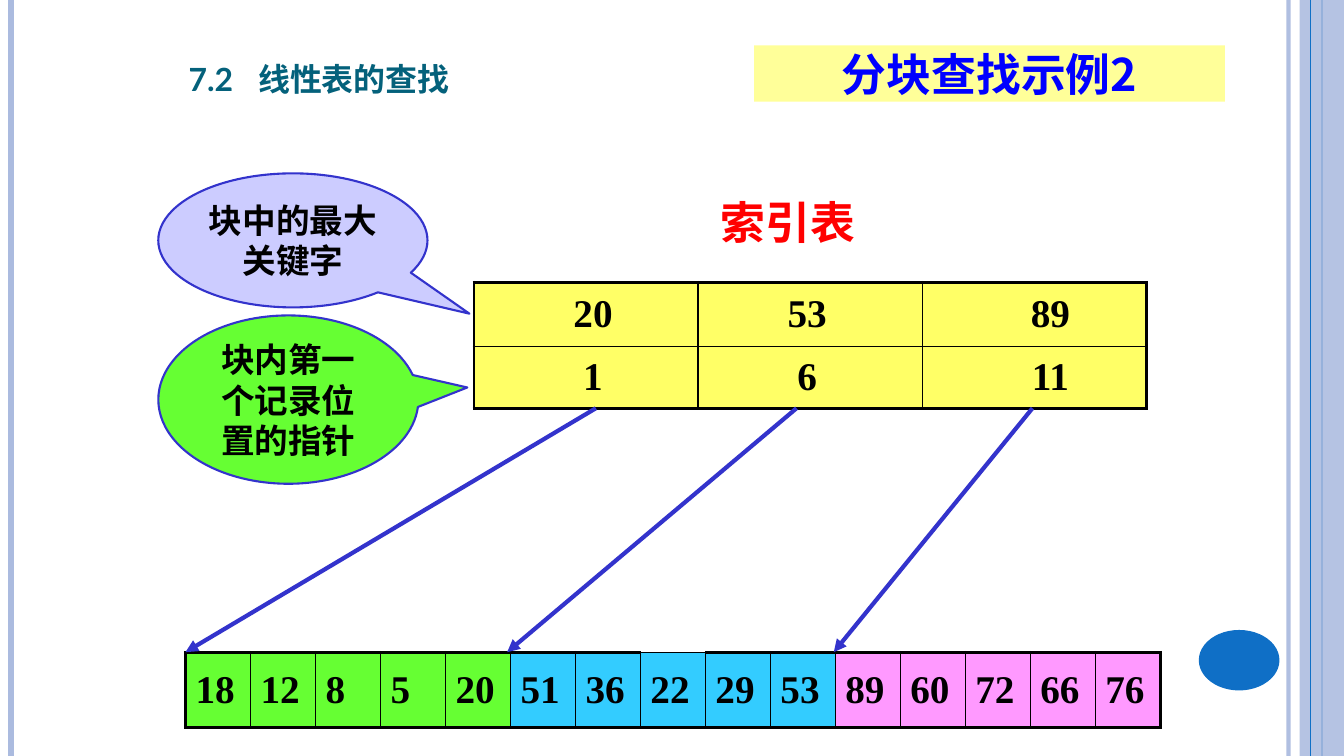
from lxml.etree import SubElement
from pptx import Presentation
from pptx.dml.color import RGBColor
from pptx.enum.shapes import MSO_CONNECTOR, MSO_SHAPE
from pptx.enum.text import MSO_ANCHOR, MSO_AUTO_SIZE, PP_ALIGN
from pptx.oxml import parse_xml
from pptx.oxml.ns import nsdecls, qn
from pptx.util import Inches, Pt

THEME = {
    "rail": "ABBBDF", "accent": "0F6FC6", "teal": "04617B", "black": "000000",
    "blue": "0000FF", "red": "FF0000", "cream": "FFFF99", "yellow": "FFFF66",
    "lilac": "CCCCFF", "green": "66FF33", "cyan": "33CCFF", "pink": "FF99FF",
    "arrow": "3333CC",
    "title": 28.5, "heading": 32, "number": 28, "callout": 24,
    "cjk": "Noto Sans CJK SC", "latin": "Lato", "serif": "Times New Roman",
}


def write(tf, text, size="callout", color="black", font="cjk",
          align=PP_ALIGN.CENTER, anchor=MSO_ANCHOR.MIDDLE):
    tf.word_wrap = True
    tf.vertical_anchor = anchor
    p = tf.paragraphs[0]
    p.alignment = align
    r = p.add_run()
    r.text = text
    r.font.size = Pt(THEME[size])
    r.font.bold = True
    r.font.color.rgb = RGBColor.from_string(THEME[color])
    r.font.name = THEME[font]
    SubElement(r.font._element, qn("a:ea"), typeface=THEME["cjk"])
    return r


def add_line(x1, y1, x2, y2, color, width, alpha=100, arrow=False):
    c = s.shapes.add_connector(MSO_CONNECTOR.STRAIGHT, Inches(x1), Inches(y1),
                               Inches(x2), Inches(y2))
    c.line.color.rgb = RGBColor.from_string(THEME[color])
    c.line.width = Pt(width)
    ln = c.line._get_or_add_ln()
    if alpha < 100:
        SubElement(ln.find(".//" + qn("a:srgbClr")), qn("a:alpha"), val=str(alpha * 1000))
    if arrow:
        SubElement(ln, qn("a:tailEnd"), type="triangle")
    SubElement(c._element.spPr, qn("a:effectLst"))


prs = Presentation()
prs.slide_width = Inches(13.33)
prs.slide_height = Inches(7.5)
s = prs.slides.add_slide(prs.slide_layouts[5])

for x, color, width, alpha in [(12.78, "rail", 3, 93), (0.11, "rail", 4.5, 100),
                               (13.11, "accent", 1.5, 100)]:
    add_line(x, 0, x, 7.5, color, width, alpha)

shapes = [
    (MSO_SHAPE.RECTANGLE, (12.89, 0, 0.44, 7.5), "rail", None, "", {}),
    (MSO_SHAPE.OVAL, (11.89, 6.25, 0.8, 0.6), "accent", None, "", {}),
    (MSO_SHAPE.RECTANGLE, (7.48, 0.45, 4.67, 0.56), "cream", None,
     "分块查找示例2", {"size": "heading", "color": "blue"}),
    (MSO_SHAPE.OVAL_CALLOUT, (1.57, 1.72, 2.67, 1.33), "lilac", (0.656, 0.547),
     "块中的最大关键字", {}),
    (MSO_SHAPE.OVAL_CALLOUT, (1.57, 3.13, 2.58, 1.67), "green", (0.688, -0.072),
     "块内第一个记录位置的指针", {}),
]
for kind, box, color, tip, text, fmt in shapes:
    sp = s.shapes.add_shape(kind, *map(Inches, box))
    sp.shadow.inherit = False
    sp.fill.solid()
    sp.fill.fore_color.rgb = RGBColor.from_string(THEME[color])
    if color == "rail":
        SubElement(sp._element.spPr.find(".//" + qn("a:srgbClr")), qn("a:alpha"), val="87000")
    if tip:
        sp.adjustments[0], sp.adjustments[1] = tip
        sp.line.color.rgb = RGBColor.from_string(THEME["arrow"])
        sp.line.width = Pt(1.5)
    else:
        sp.line.fill.background()
    if text:
        write(sp.text_frame, text, **fmt)

add_line(13, 0, 13, 7.5, "accent", 0.75)

title = s.shapes.title
title.left, title.top, title.width, title.height = map(Inches, (1.77, 0.43, 4.46, 0.61))
title.text_frame.auto_size = MSO_AUTO_SIZE.NONE
pPr = title.text_frame.paragraphs[0]._p.get_or_add_pPr()
SubElement(SubElement(pPr, qn("a:tabLst")), qn("a:tab"), pos=str(Inches(0.69)), algn="l")
r = write(title.text_frame, "7.2\t线性表的查找", size="title", color="teal", font="latin",
          align=PP_ALIGN.LEFT, anchor=MSO_ANCHOR.BOTTOM)
r.font._element.set("cap", "small")

label = s.shapes.add_textbox(Inches(6.15), Inches(1.88), Inches(3.33), Inches(0.64))
write(label.text_frame, "索引表", size="heading", color="red")

index_rows = [["20", "53", "89"], ["1", "6", "11"]]
blocks = [["18", "12", "8", "5", "20", "51", "36", "22", "29", "53",
           "89", "60", "72", "66", "76"]]
tables = [
    (index_rows, (4.7, 2.8, 6.67, 1.25), (0.64, 0.61), ["yellow"] * 3,
     [(0.24, 0.1), (0.1, 0.16), (0.42, 0.1)], PP_ALIGN.CENTER),
    (blocks, (1.84, 6.47, 9.67, 0.75), (0.75,),
     ["green"] * 5 + ["cyan"] * 5 + ["pink"] * 5, [(0.1, 0.1)] * 15, PP_ALIGN.LEFT),
]
for rows, box, heights, fills, margins, align in tables:
    last_row, last_col = len(rows) - 1, len(rows[0]) - 1
    tbl = s.shapes.add_table(last_row + 1, last_col + 1, *map(Inches, box)).table
    tbl.first_row = tbl.horz_banding = False
    for i, row in enumerate(rows):
        tbl.rows[i].height = Inches(heights[i])
        for j, text in enumerate(row):
            cell = tbl.cell(i, j)
            cell.margin_left, cell.margin_right = map(Inches, margins[j])
            cell.vertical_anchor = MSO_ANCHOR.MIDDLE
            cell.fill.solid()
            cell.fill.fore_color.rgb = RGBColor.from_string(THEME[fills[j]])
            write(cell.text_frame, text, size="number", font="serif", align=align)
            outer = [("L", j == 0), ("R", j == last_col),
                     ("T", i == 0 and text != "22"), ("B", i == last_row)]
            for k, (side, thick) in enumerate(outer):
                width = Pt(2.25 if thick else 1)
                cell._tc.get_or_add_tcPr().insert(k, parse_xml(
                    f'<a:ln{side} {nsdecls("a")} w="{width}"><a:solidFill>'
                    f'<a:srgbClr val="{THEME["black"]}"/></a:solidFill></a:ln{side}>'))

for start, end in [(5.91, 1.84), (7.9, 5.03), (10.24, 8.27)]:
    add_line(start, 4.05, end, 6.47, "arrow", 3, arrow=True)

prs.save("out.pptx")
